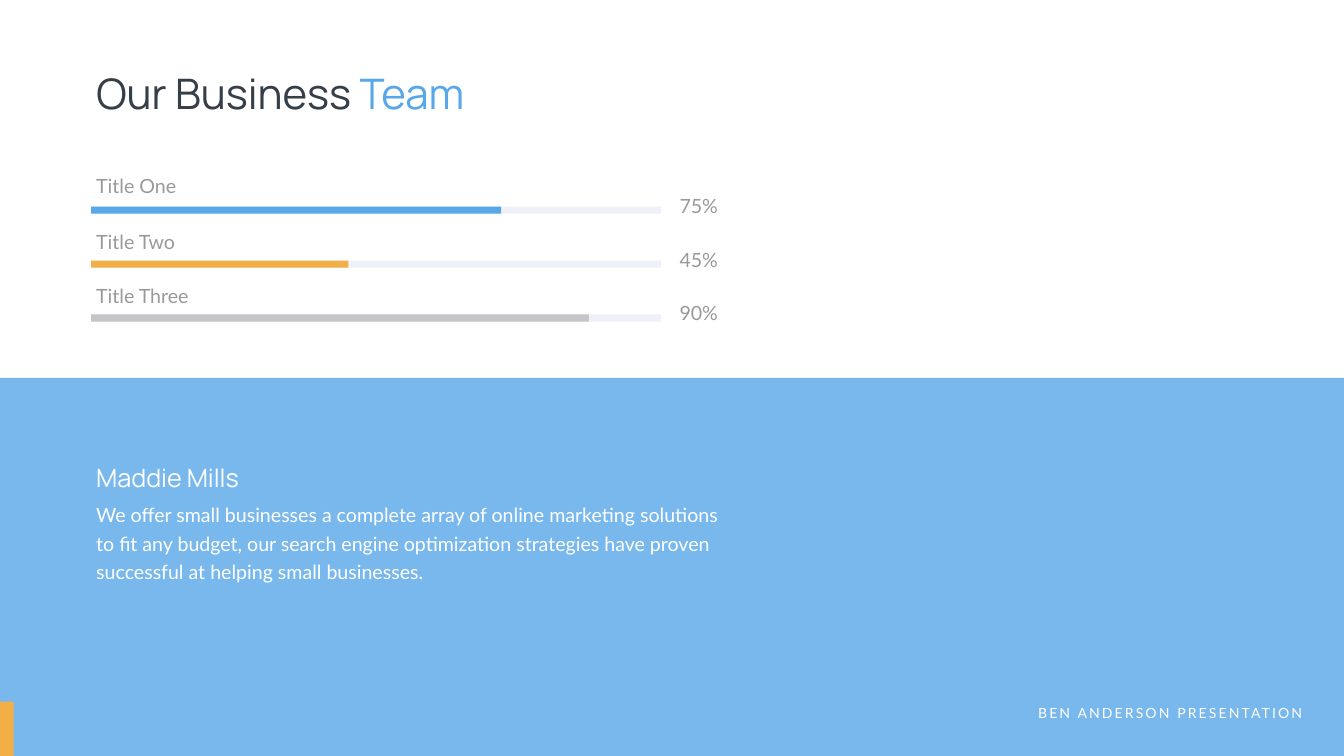
"""Build the business team slide with skill bars and a profile text."""
from dataclasses import dataclass

from lxml.etree import SubElement
from pptx import Presentation
from pptx.dml.color import RGBColor
from pptx.enum.shapes import MSO_SHAPE as Preset
from pptx.enum.text import MSO_ANCHOR as Anchor, MSO_AUTO_SIZE as AutoSize, PP_ALIGN as Align
from pptx.oxml.ns import qn
from pptx.util import Inches, Pt


@dataclass(frozen=True)
class Theme:
    heading_font: str = "Manrope"
    body_font: str = "Lato"
    dark: str = "363E48"
    blue: str = "57A7E9"
    orange: str = "F3AF47"
    silver: str = "C7C4C7"
    track: str = "EFF1F8"
    gray: str = "999999"
    white: str = "FFFFFF"
    title_size: float = 60
    name_size: float = 36
    body_size: float = 28
    footer_size: float = 20
    body_leading: float = 40.8


class SlideBuilder:
    def __init__(self, slide, theme):
        self.slide = slide
        self.theme = theme

    def rectangle(self, left, top, width, height, color, opacity=100):
        shape = self.slide.shapes.add_shape(
            Preset.RECTANGLE, Inches(left), Inches(top), Inches(width), Inches(height))
        shape.shadow.inherit = False
        shape.line.fill.background()
        shape.fill.solid()
        shape.fill.fore_color.rgb = RGBColor.from_string(color)
        if opacity < 100:
            fill_color = shape.fill.fore_color._xFill.find(qn("a:srgbClr"))
            SubElement(fill_color, qn("a:alpha"), val=str(opacity * 1000))

    def run(self, paragraph, text, font, size, color, tracking=0):
        run = paragraph.add_run()
        run.text = text
        run.font.name = font
        run.font.size = Pt(size)
        run.font.color.rgb = RGBColor.from_string(color)
        if tracking:
            run.font._element.set("spc", str(tracking * 100))

    def title(self, left, top, width, height, parts):
        shape = self.slide.shapes.title
        shape.left, shape.top = Inches(left), Inches(top)
        shape.width, shape.height = Inches(width), Inches(height)
        frame = shape.text_frame
        frame.auto_size = AutoSize.NONE
        frame.vertical_anchor = Anchor.TOP
        paragraph = frame.paragraphs[0]
        paragraph.alignment = Align.LEFT
        for text, color in parts:
            self.run(paragraph, text, self.theme.heading_font, self.theme.title_size, color)

    def text(self, left, top, width, height, text, size, color, font=None,
             align=Align.LEFT, wrap=True, leading=None, tracking=0):
        box = self.slide.shapes.add_textbox(
            Inches(left), Inches(top), Inches(width), Inches(height))
        box.text_frame.word_wrap = wrap
        paragraph = box.text_frame.paragraphs[0]
        paragraph.alignment = align
        if leading:
            paragraph.line_spacing = Pt(leading)
        self.run(paragraph, text, font or self.theme.body_font, size, color, tracking)

    def skill(self, left, bar_top, label, label_gap, percent, bar_width, color):
        theme = self.theme
        self.rectangle(left, bar_top, 11.3, 0.14, theme.track)
        self.rectangle(left, bar_top, bar_width, 0.14, color)
        self.text(left, bar_top - label_gap, 2.7, 0.57, label, theme.body_size, theme.gray)
        self.text(13.28, bar_top - 0.31, 1.06, 0.57, percent, theme.body_size,
                  theme.gray, align=Align.RIGHT)


def main():
    theme = Theme()
    presentation = Presentation()
    presentation.slide_width, presentation.slide_height = Inches(26.66), Inches(15)
    slide = presentation.slides.add_slide(presentation.slide_layouts[5])
    builder = SlideBuilder(slide, theme)
    margin = 1.81

    builder.rectangle(0, 7.5, 26.66, 7.5, theme.blue, opacity=80)
    builder.title(margin, 1.28, 8.98, 1.11,
                  [("Our Business ", theme.dark), ("Team", theme.blue)])
    builder.text(20.08, 13.92, 5.85, 0.44, "BEN ANDERSON PRESENTATION",
                 theme.footer_size, theme.white, align=Align.RIGHT, tracking=3)
    builder.rectangle(0, 13.92, 0.27, 1.08, theme.orange)

    builder.text(margin, 9.12, 3.44, 0.71, "Maddie Mills", theme.name_size,
                 theme.white, font=theme.heading_font, wrap=False)
    builder.text(
        margin, 9.83, 12.71, 1.77,
        "We offer small businesses a complete array of online marketing solutions "
        "to fit any budget, our search engine optimization strategies have proven "
        "successful at helping small businesses.",
        theme.body_size, theme.white, leading=theme.body_leading)

    skills = [
        ("Title One", 0.7, "75%", 8.13, theme.blue),
        ("Title Two", 0.65, "45%", 5.1, theme.orange),
        ("Title Three", 0.65, "90%", 9.87, theme.silver),
    ]
    for row, skill in enumerate(skills):
        builder.skill(margin, 4.1 + row * 1.07, *skill)

    presentation.save("out.pptx")


if __name__ == "__main__":
    main()
